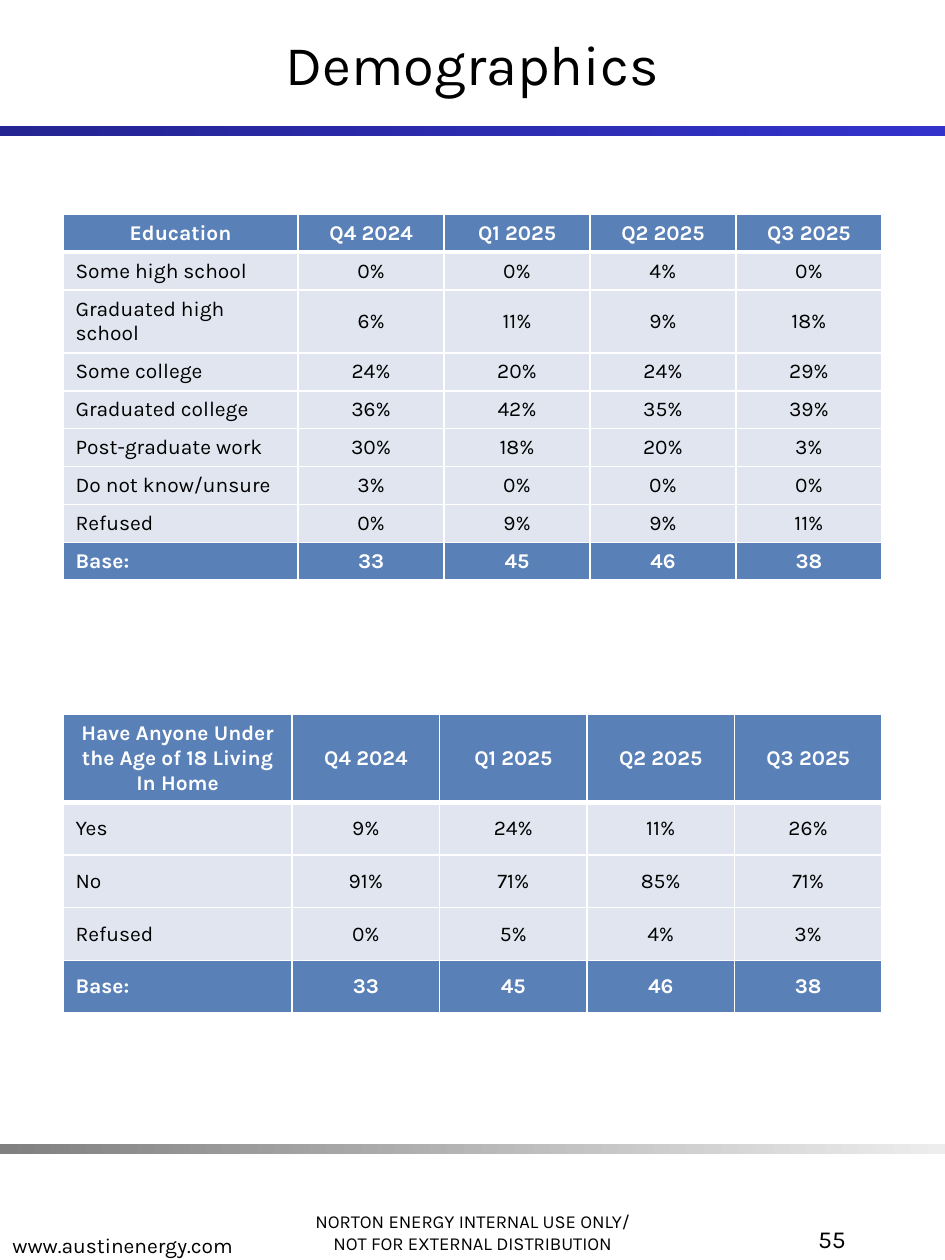
from dataclasses import dataclass

from lxml import etree
from pptx import Presentation
from pptx import util as u
from pptx.dml.color import RGBColor
from pptx.enum import shapes, text
from pptx.oxml import ns

LEFT, CENTER, RIGHT = text.PP_ALIGN.LEFT, text.PP_ALIGN.CENTER, text.PP_ALIGN.RIGHT
TOP, MIDDLE, BOTTOM = (text.MSO_ANCHOR.TOP, text.MSO_ANCHOR.MIDDLE,
                       text.MSO_ANCHOR.BOTTOM)


@dataclass(frozen=True)
class Theme:
    font: str = "Karla"
    ink: str = "000000"
    white: str = "FFFFFF"
    header: str = "5A80B8"
    body: str = "E0E5F0"
    title_bar: tuple = ("242492", "3333CC")
    footer_bar: tuple = ("808080", "EDEDED")
    title_size: float = 32
    number_size: float = 14
    text_size: float = 12
    notice_size: float = 10.5
    rule: float = 1
    heavy_rule: float = 3


THEME = Theme()
PAGE_WIDTH, PAGE_HEIGHT = 19.05, 25.4
QUARTERS = ["Q4 2024", "Q1 2025", "Q2 2025", "Q3 2025"]
BASE = ["Base:", "33", "45", "46", "38"]

EDUCATION = [
    ["Education", *QUARTERS],
    ["Some high school", "0%", "0%", "4%", "0%"],
    ["Graduated high school", "6%", "11%", "9%", "18%"],
    ["Some college", "24%", "20%", "24%", "29%"],
    ["Graduated college", "36%", "42%", "35%", "39%"],
    ["Post-graduate work", "30%", "18%", "20%", "3%"],
    ["Do not know/unsure", "3%", "0%", "0%", "0%"],
    ["Refused", "0%", "9%", "9%", "11%"],
    BASE,
]
CHILDREN_AT_HOME = [
    ["Have Anyone Under the Age of 18 Living In Home", *QUARTERS],
    ["Yes", "9%", "24%", "11%", "26%"],
    ["No", "91%", "71%", "85%", "71%"],
    ["Refused", "0%", "5%", "4%", "3%"],
    BASE,
]


def add_span(para, words, size, color=THEME.ink, bold=False):
    span = para.add_run()
    span.text = words
    span.font.name = THEME.font
    span.font.size = u.Pt(size)
    span.font.bold = bold
    span.font.color.rgb = RGBColor.from_string(color)


def add_text(page, area, lines, size, align, anchor):
    box = page.shapes.add_textbox(*map(u.Cm, area))
    frame = box.text_frame
    frame.word_wrap = True
    frame.vertical_anchor = anchor
    for index, line in enumerate(lines):
        para = frame.add_paragraph() if index else frame.paragraphs[0]
        para.alignment = align
        add_span(para, line, size)


def add_bar(page, area, colors):
    bar = page.shapes.add_shape(shapes.MSO_SHAPE.RECTANGLE, *map(u.Cm, area))
    bar.shadow.inherit = False
    bar.line.fill.background()
    bar.fill.gradient()
    bar.fill.gradient_angle = 0
    for stop, color in zip(bar.fill.gradient_stops, colors):
        stop.color.rgb = RGBColor.from_string(color)


def set_borders(cell, top, bottom):
    properties = cell._tc.get_or_add_tcPr()
    widths = {"L": THEME.rule, "R": THEME.rule, "T": top, "B": bottom}
    for side, width in widths.items():
        line = etree.SubElement(properties, ns.qn(f"a:ln{side}"), w=str(u.Pt(width)))
        fill = etree.SubElement(line, ns.qn("a:solidFill"))
        etree.SubElement(fill, ns.qn("a:srgbClr"), val=THEME.white)


def add_title(page, area):
    left, top, width, height = area
    add_text(page, area, ["Demographics"], THEME.title_size, CENTER, MIDDLE)
    add_bar(page, (left, top + height, width, 0.2), THEME.title_bar)


def add_results(page, area, rows, label_width, row_heights):
    """Table with a heading row, answers by quarter and a closing base row."""
    count = len(rows[0])
    grid = page.shapes.add_table(len(rows), count, *map(u.Cm, area)).table
    quarter_width = (area[2] - label_width) / (count - 1)
    for index, column in enumerate(grid.columns):
        column.width = u.Cm(quarter_width if index else label_width)
    for row, height in zip(grid.rows, row_heights):
        row.height = u.Cm(height)

    for r, values in enumerate(rows):
        strong = r in (0, len(rows) - 1)
        for c, value in enumerate(values):
            cell = grid.cell(r, c)
            set_borders(cell,
                        top=THEME.heavy_rule if r == 1 else THEME.rule,
                        bottom=THEME.heavy_rule if r == 0 else THEME.rule)
            cell.fill.solid()
            cell.fill.fore_color.rgb = RGBColor.from_string(
                THEME.header if strong else THEME.body)
            cell.vertical_anchor = MIDDLE
            para = cell.text_frame.paragraphs[0]
            para.alignment = LEFT if c == 0 and r > 0 else CENTER
            add_span(para, value, THEME.text_size,
                     THEME.white if strong else THEME.ink, strong)


def add_footer(page, area):
    left, top, width, height = area
    box_height = 1.7
    add_bar(page, (left, top, width, 0.2), THEME.footer_bar)
    add_text(page, (left + 5.48, top + height - box_height, 8.1, box_height),
             ["NORTON ENERGY INTERNAL USE ONLY/", "NOT FOR EXTERNAL DISTRIBUTION"],
             THEME.notice_size, CENTER, BOTTOM)
    add_text(page, (left, top + 0.71, 8.1, box_height),
             ["www.austinenergy.com"], THEME.text_size, LEFT, BOTTOM)
    add_text(page, (left + 13.34, top + 1.5, 3.96, box_height),
             ["55"], THEME.number_size, RIGHT, TOP)


def main():
    deck = Presentation()
    deck.slide_width, deck.slide_height = u.Cm(PAGE_WIDTH), u.Cm(PAGE_HEIGHT)
    page = deck.slides.add_slide(deck.slide_layouts[6])

    add_title(page, (0, 0, PAGE_WIDTH, 2.54))
    # The third education row holds a label of two lines
    add_results(page, (1.27, 4.32, 16.51, 7.2), EDUCATION, 4.74,
                [0.72, 0.75, 1.25] + [0.75] * 6)
    add_results(page, (1.27, 14.4, 16.51, 5.94), CHILDREN_AT_HOME, 4.62,
                [1.7] + [1.06] * 4)
    add_footer(page, (0, 23.06, PAGE_WIDTH, 2.34))
    deck.save("out.pptx")


if __name__ == "__main__":
    main()
